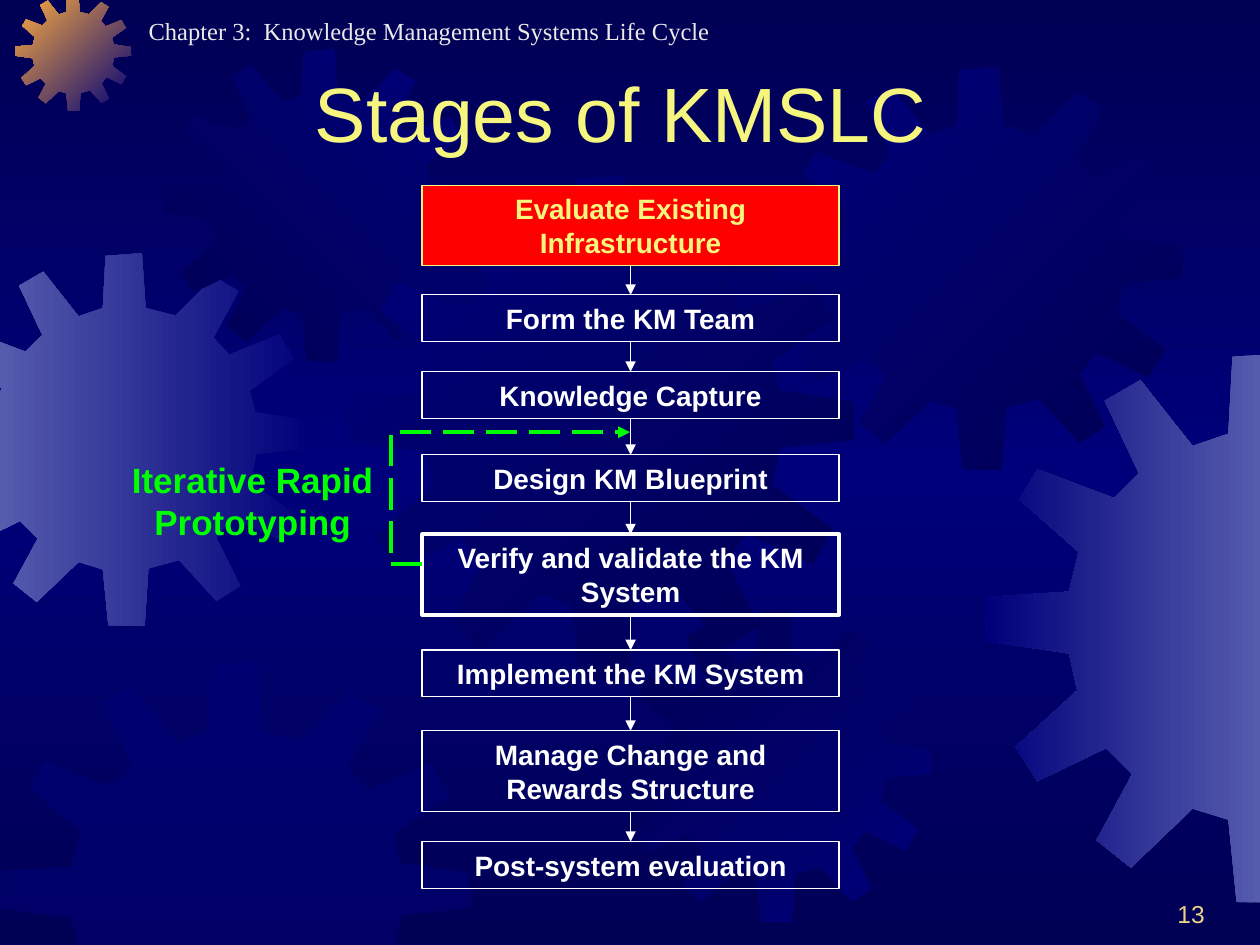
from copy import deepcopy

from lxml import etree
from pptx import Presentation
from pptx.dml.color import RGBColor
from pptx.enum import dml, shapes, text
from pptx.oxml import ns
from pptx.util import Inches, Pt

NAVY = RGBColor(0x00, 0x00, 0x54)
BLUE = RGBColor(0x00, 0x00, 0x7A)
LILAC = RGBColor(0x55, 0x5B, 0xAD)
ORANGE = RGBColor(0xFC, 0xAB, 0x40)
YELLOW = RGBColor(0xF6, 0xF6, 0x7E)
GOLD = RGBColor(0xEB, 0xD1, 0x89)
PALE = RGBColor(0xEA, 0xEA, 0xEA)
WHITE = RGBColor(0xFF, 0xFF, 0xFF)
RED = RGBColor(0xFF, 0x00, 0x00)
GREEN = RGBColor(0x00, 0xFF, 0x00)

SLIDE_WIDTH, SLIDE_HEIGHT = 10, 7.5

# Outline of the twelve-toothed gear, drawn in a square of side GEAR_SIDE
GEAR_SIDE = 4.01
GEAR = [
    (2.55, 0.67), (2.23, 0.59), (2.19, 0), (1.8, 0.03), (1.77, 0.59), (1.51, 0.68),
    (1.13, 0.2), (0.87, 0.35), (1.12, 0.88), (0.94, 1.06), (0.38, 0.85), (0.25, 1.07),
    (0.68, 1.45), (0.61, 1.74), (0.01, 1.78), (0, 2.1), (0.61, 2.19), (0.67, 2.46),
    (0.22, 2.87), (0.38, 3.12), (0.88, 2.88), (1.07, 3.07), (0.81, 3.55), (1.06, 3.75),
    (1.51, 3.32), (1.77, 3.4), (1.83, 4), (2.22, 4.01), (2.26, 3.39), (2.59, 3.3),
    (2.99, 3.74), (3.25, 3.58), (2.99, 3.06), (3.16, 2.84), (3.68, 3.09), (3.84, 2.81),
    (3.36, 2.46), (3.42, 2.16), (4.01, 2.1), (4, 1.8), (3.41, 1.71), (3.35, 1.48),
    (3.83, 1.14), (3.67, 0.87), (3.13, 1.09), (2.96, 0.91), (3.23, 0.41), (2.97, 0.25),
]

# left, top, side, first colour, last colour, clockwise angle
GEARS = [
    (-0.49, 2.01, 2.96, BLUE, LILAC, 180),
    (0.12, -0.04, 0.92, BLUE, ORANGE, 225),
    (1.3, 0.39, 2.48, BLUE, NAVY, 135),
    (2.77, 1.39, 4.01, NAVY, BLUE, 225),
    (0, 5.25, 3.74, BLUE, None, 0),
    (4.91, 4.84, 2.48, BLUE, NAVY, 225),
    (6.18, 0.53, 3.2, NAVY, BLUE, 225),
    (7.82, 2.8, 4.37, LILAC, BLUE, 180),
]

# label, top, height
ONE_LINE, TWO_LINES = 0.37, 0.64
STAGES = [
    ("Evaluate Existing Infrastructure", 1.47, TWO_LINES),
    ("Form the KM Team", 2.34, ONE_LINE),
    ("Knowledge Capture", 2.95, ONE_LINE),
    ("Design KM Blueprint", 3.61, ONE_LINE),
    ("Verify and validate the KM System", 4.24, TWO_LINES),
    ("Implement the KM System", 5.16, ONE_LINE),
    ("Manage Change and Rewards Structure", 5.8, TWO_LINES),
    ("Post-system evaluation", 6.68, ONE_LINE),
]


def write(shape, words, size, color, font="Arial", bold=False,
          align=text.PP_ALIGN.LEFT, anchor=text.MSO_ANCHOR.TOP):
    frame = shape.text_frame
    frame.word_wrap = True
    frame.vertical_anchor = anchor
    paragraph = frame.paragraphs[0]
    paragraph.text = words
    paragraph.alignment = align
    paragraph.font.name = font
    paragraph.font.size = Pt(size)
    paragraph.font.bold = bold
    paragraph.font.color.rgb = color
    return frame


def add_label(slide, box, words, size, color, **style):
    shape = slide.shapes.add_textbox(*map(Inches, box))
    return write(shape, words, size, color, **style)


def set_gradient(fill, first, last, angle):
    fill.gradient()
    fill.gradient_angle = (360 - angle) % 360
    for stop, color in zip(fill.gradient_stops, (first, last)):
        stop.color.rgb = color


def clip(points, axis, limit, sign):
    """Keep the part of a polygon where sign * coordinate >= sign * limit."""
    kept = []
    for start, end in zip(points, points[1:] + points[:1]):
        before, after = (sign * (point[axis] - limit) for point in (start, end))
        if before >= 0:
            kept.append(start)
        if before * after < 0:
            share = before / (before - after)
            kept.append(tuple(a + share * (b - a) for a, b in zip(start, end)))
    return kept


def add_gear(slide, left, top, side, first, last, angle):
    scale = side / GEAR_SIDE
    points = [(left + x * scale, top + y * scale) for x, y in GEAR]
    for axis, limit, sign in ((0, 0, 1), (1, 0, 1),
                              (0, SLIDE_WIDTH, -1), (1, SLIDE_HEIGHT, -1)):
        points = clip(points, axis, limit, sign)
    points = [(Inches(x), Inches(y)) for x, y in points]
    builder = slide.shapes.build_freeform(*points[0], scale=1.0)
    builder.add_line_segments(points[1:], close=True)
    gear = builder.convert_to_shape()
    gear.shadow.inherit = False
    gear.line.fill.background()
    if last is not None:
        set_gradient(gear.fill, first, last, angle)
    else:  # half-transparent gear
        gear.fill.solid()
        gear.fill.fore_color.rgb = first
        color = gear.fill._xPr.find(".//" + ns.qn("a:srgbClr"))
        etree.SubElement(color, ns.qn("a:alpha"), val="50000")


def add_backdrop(slide):
    fill = slide.background.fill
    set_gradient(fill, NAVY, NAVY, 90)
    # Brighter band halfway down
    first = fill._xPr.find(".//" + ns.qn("a:gs"))
    middle = deepcopy(first)
    middle.set("pos", "50000")
    first.addnext(middle)
    fill.gradient_stops[1].color.rgb = BLUE
    for gear in GEARS:
        add_gear(slide, *gear)


def add_arrow(slide, start, end, color, width, kind=shapes.MSO_CONNECTOR.STRAIGHT):
    arrow = slide.shapes.add_connector(kind, *map(Inches, start + end))
    arrow.line.color.rgb = color
    arrow.line.width = Pt(width)
    properties = arrow._element.spPr
    etree.SubElement(arrow.line._get_or_add_ln(), ns.qn("a:tailEnd"), type="triangle")
    etree.SubElement(properties, ns.qn("a:effectLst"))
    return arrow


def add_flow(slide, left, width):
    center = left + width / 2
    for index, (words, top, height) in enumerate(STAGES):
        box = slide.shapes.add_shape(shapes.MSO_SHAPE.RECTANGLE,
                                     *map(Inches, (left, top, width, height)))
        box.shadow.inherit = False
        color = WHITE
        if index == 0:  # current stage
            color = YELLOW
            box.fill.solid()
            box.fill.fore_color.rgb = RED
        else:
            box.fill.background()
        box.line.color.rgb = color
        box.line.width = Pt(2 if words.startswith("Verify") else 0.75)
        write(box, words, 16, color, bold=True, align=text.PP_ALIGN.CENTER,
              anchor=text.MSO_ANCHOR.MIDDLE)
    for (_, top, height), (_, next_top, _) in zip(STAGES, STAGES[1:]):
        add_arrow(slide, (center, top + height), (center, next_top), WHITE, 0.75)


def add_prototyping_loop(slide, left, right):
    loop = add_arrow(slide, (left, 4.48), (right, 3.43), GREEN, 2.25,
                     shapes.MSO_CONNECTOR.ELBOW)
    loop.line.dash_style = dml.MSO_LINE.LONG_DASH
    # The bend lies to the left of the boxes
    guides = loop._element.spPr.find(".//" + ns.qn("a:avLst"))
    etree.SubElement(guides, ns.qn("a:gd"), name="adj1", fmla="val -15100")
    add_label(slide, (0.9, 3.59, 2.21, 0.77), "Iterative Rapid Prototyping", 20, GREEN,
              bold=True, align=text.PP_ALIGN.CENTER)


def main():
    presentation = Presentation()
    presentation.slide_width = Inches(SLIDE_WIDTH)
    presentation.slide_height = Inches(SLIDE_HEIGHT)
    slide = presentation.slides.add_slide(presentation.slide_layouts[6])
    add_backdrop(slide)

    # Chapter line and title
    chapter = add_label(slide, (0.08, 0.08, 7.17, 0.34),
                        "Chapter 3:  Knowledge Management Systems Life Cycle",
                        14, PALE, font="Times New Roman")
    chapter.margin_left = Inches(1.1)
    add_label(slide, (2.4, 0.05, 7.5, 1.25), "Stages of KMSLC", 44, YELLOW,
              anchor=text.MSO_ANCHOR.BOTTOM)

    # Flow of stages
    add_flow(slide, 3.35, 3.31)
    add_prototyping_loop(slide, 3.35, 5)

    # Slide number
    add_label(slide, (7.58, 6.92, 2.08, 0.5), "13", 14, GOLD,
              align=text.PP_ALIGN.RIGHT, anchor=text.MSO_ANCHOR.BOTTOM)
    presentation.save("out.pptx")


if __name__ == "__main__":
    main()
